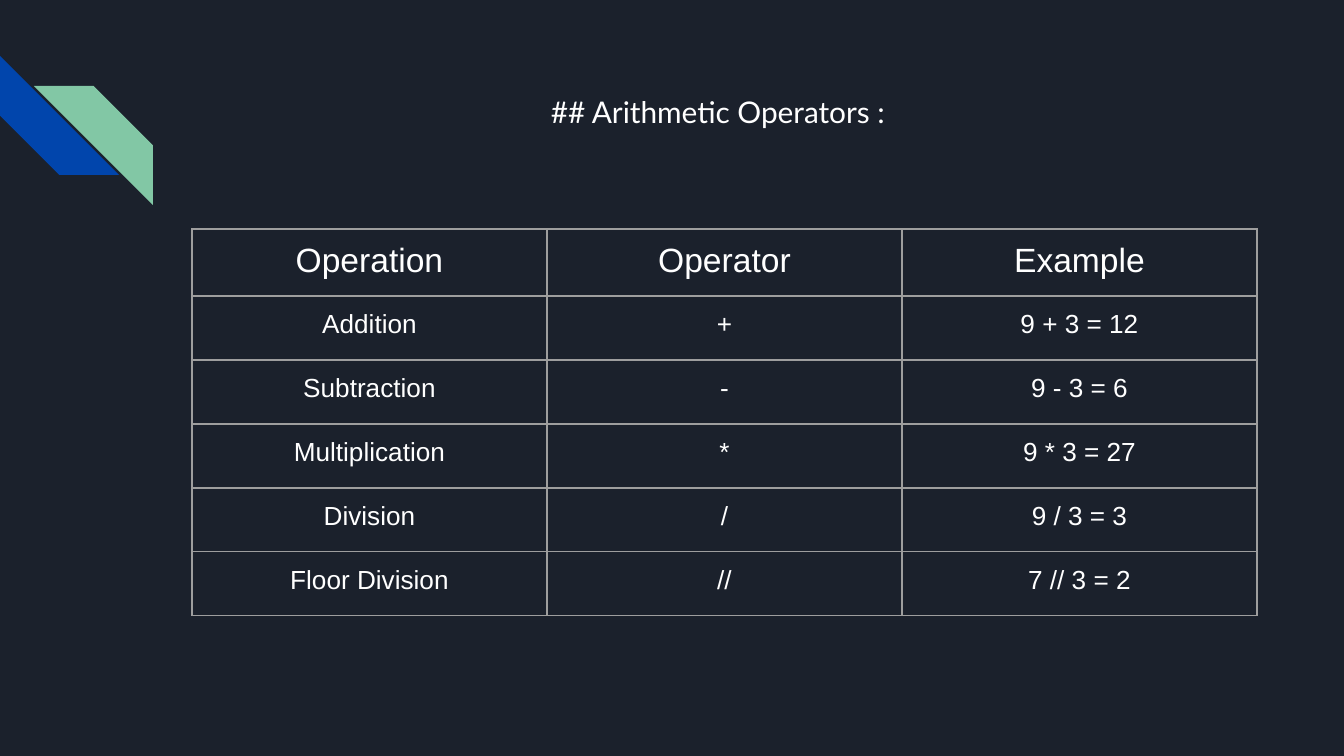
from lxml import etree
from pptx import Presentation
from pptx import util as u
from pptx.dml.color import RGBColor
from pptx.enum import shapes, text
from pptx.oxml.ns import qn

NIGHT = RGBColor(0x1B, 0x21, 0x2C)
BLUE = RGBColor(0x01, 0x45, 0xAC)
GREEN = RGBColor(0x82, 0xC7, 0xA5)
GREY = RGBColor(0x9E, 0x9E, 0x9E)
WHITE = RGBColor(0xFF, 0xFF, 0xFF)

PX = 914400 / 134.4
INSET = u.Inches(0.1)


def px(*lengths):
    return [u.Emu(round(length * PX)) for length in lengths]


def format_text(paragraph, font, size):
    paragraph.alignment = text.PP_ALIGN.CENTER
    for run in paragraph.runs:
        run.font.name = font
        run.font.size = u.Pt(size)
        run.font.color.rgb = WHITE


deck = Presentation()
deck.slide_width, deck.slide_height = px(1344, 756)
slide = deck.slides.add_slide(deck.slide_layouts[5])
slide.background.fill.solid()
slide.background.fill.fore_color.rgb = NIGHT

# Corner stripes
for left, top, color in ((0, 56, BLUE), (34, 86, GREEN)):
    stripe = slide.shapes.add_shape(
        shapes.MSO_SHAPE.DIAGONAL_STRIPE, *px(left, top, 119, 119))
    stripe.shadow.inherit = False
    stripe.fill.solid()
    stripe.fill.fore_color.rgb = color
    stripe.line.fill.background()
    if color == BLUE:
        stripe.rotation = 270
    else:
        stripe.element.spPr.find(qn("a:xfrm")).set("flipH", "1")

# Title
title = slide.shapes.title
title.left, title.top, title.width, title.height = px(234, 83, 968, 66)
heading = title.text_frame
heading.text = "## Arithmetic Operators :"
heading.auto_size = text.MSO_AUTO_SIZE.NONE
heading.vertical_anchor = text.MSO_ANCHOR.TOP
heading.margin_left = heading.margin_right = INSET
heading.margin_top = heading.margin_bottom = INSET
heading.paragraphs[0].line_spacing = 0.95
heading.paragraphs[0].space_after = u.Pt(12)
format_text(heading.paragraphs[0], "Lato", 16)

# Operator table
OPERATIONS = [
    ("Operation", "Operator", "Example"),
    ("Addition", "+", "9 + 3 = 12"),
    ("Subtraction", "-", "9 - 3 = 6"),
    ("Multiplication", "*", "9 * 3 = 27"),
    ("Division", "/", "9 / 3 = 3"),
    ("Floor Division", "//", "7 // 3 = 2"),
]
operators = slide.shapes.add_table(
    len(OPERATIONS), 3, *px(192, 229, 1065, 387)).table
operators.first_row = operators.horz_banding = False
for column in operators.columns:
    column.width, = px(355)

for r, entries in enumerate(OPERATIONS):
    operators.rows[r].height, = px(64 if r else 67)
    for c, entry in enumerate(entries):
        cell = operators.cell(r, c)
        cell.text_frame.text = entry
        cell.margin_left = cell.margin_right = INSET
        cell.margin_top = cell.margin_bottom = INSET
        format_text(cell.text_frame.paragraphs[0], "Arial", 14 if r else 18)

        # Cell borders come before the fill in the XML
        properties = cell._tc.get_or_add_tcPr()
        for side in ("a:lnL", "a:lnR", "a:lnT", "a:lnB"):
            border = etree.SubElement(properties, qn(side), w=str(u.Pt(0.75)))
            paint = etree.SubElement(border, qn("a:solidFill"))
            etree.SubElement(paint, qn("a:srgbClr"), val=str(GREY))
        cell.fill.background()

deck.save("out.pptx")
